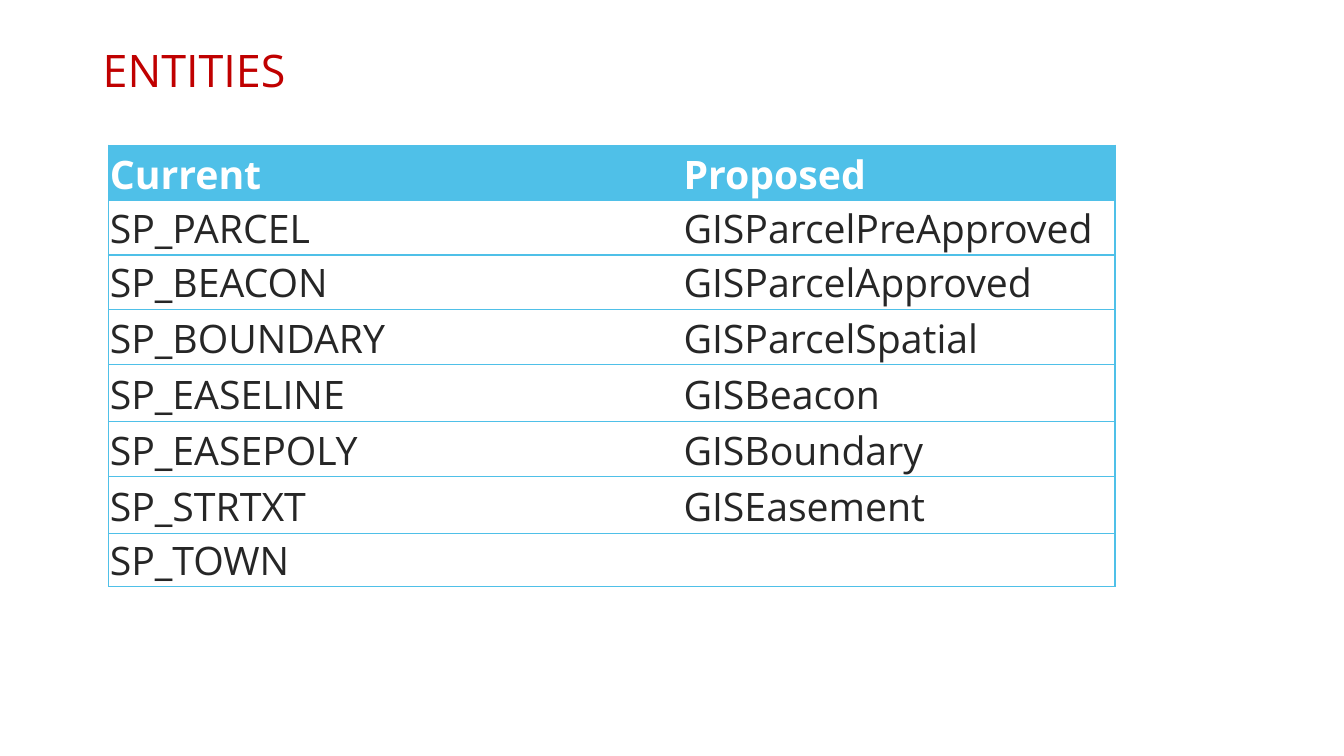
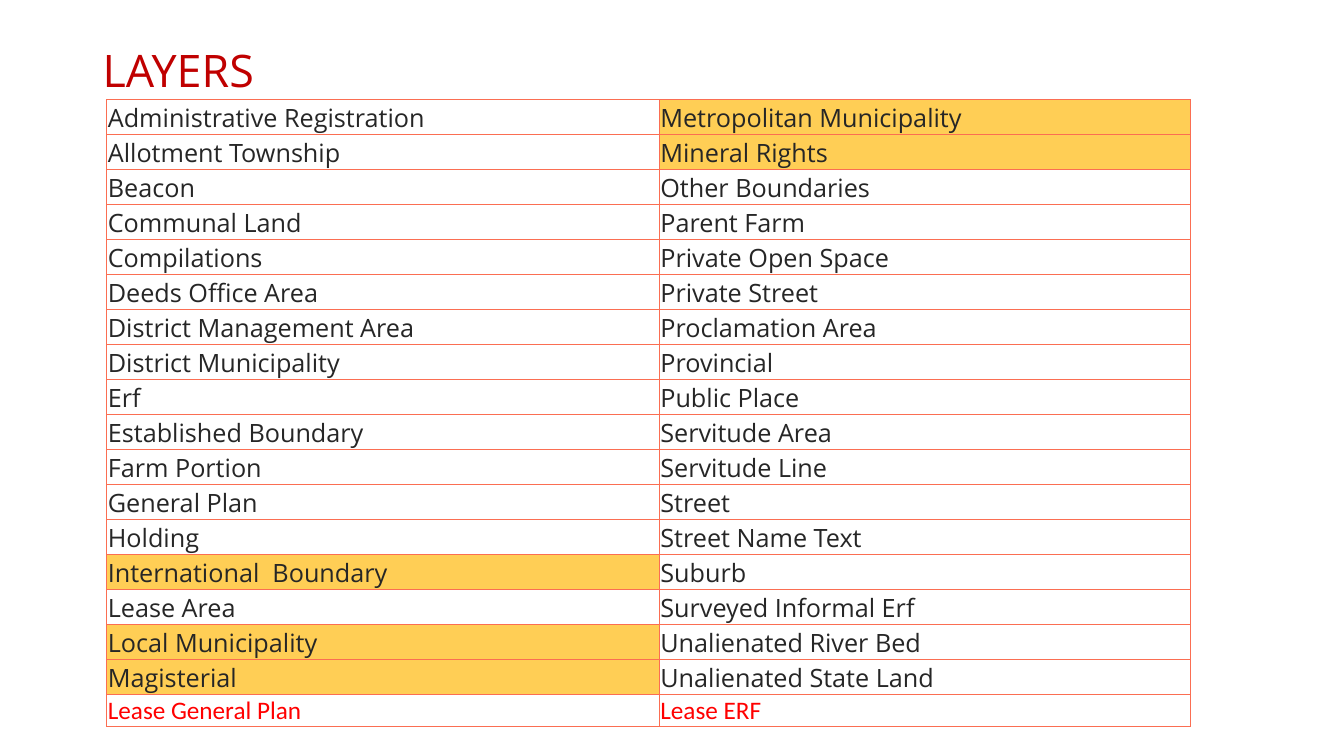
from lxml.etree import SubElement
from pptx import Presentation
from pptx.dml.color import RGBColor
from pptx.enum.text import MSO_VERTICAL_ANCHOR as Anchor
from pptx.oxml.ns import qn
from pptx.util import Inches, Pt

COLORS = {
    "title": "C00000",
    "text": "262626",
    "white": "FFFFFF",
    "blue": "4FC0E8",
    "coral": "FB6E52",
    "yellow": "FFCE55",
    "red": "FF0000",
}

ENTITIES = [
    ("Current", "Proposed"),
    ("SP_PARCEL", "GISParcelPreApproved"),
    ("SP_BEACON", "GISParcelApproved"),
    ("SP_BOUNDARY", "GISParcelSpatial"),
    ("SP_EASELINE", "GISBeacon"),
    ("SP_EASEPOLY", "GISBoundary"),
    ("SP_STRTXT", "GISEasement"),
    ("SP_TOWN", ""),
]

LAYERS = [
    ("Administrative Registration", "Metropolitan Municipality"),
    ("Allotment Township", "Mineral Rights"),
    ("Beacon", "Other Boundaries"),
    ("Communal Land", "Parent Farm"),
    ("Compilations", "Private Open Space"),
    ("Deeds Office Area", "Private Street"),
    ("District Management Area", "Proclamation Area"),
    ("District Municipality", "Provincial"),
    ("Erf", "Public Place"),
    ("Established Boundary", "Servitude Area"),
    ("Farm Portion", "Servitude Line"),
    ("General Plan", "Street"),
    ("Holding", "Street Name Text"),
    ("International  Boundary", "Suburb"),
    ("Lease Area", "Surveyed Informal Erf"),
    ("Local Municipality", "Unalienated River Bed"),
    ("Magisterial", "Unalienated State Land"),
    ("Lease General Plan", "Lease ERF"),
]

HIGHLIGHTED = {
    "Metropolitan Municipality",
    "Mineral Rights",
    "International  Boundary",
    "Local Municipality",
    "Magisterial",
}


class DeckBuilder:
    font = "Open Sans"

    def __init__(self):
        self.deck = Presentation()
        self.deck.slide_width = Inches(13.33)
        self.deck.slide_height = Inches(7.5)
        self.page = None

    def add_page(self, title):
        self.page = self.deck.slides.add_slide(self.deck.slide_layouts[6])
        box = self.page.shapes.add_textbox(
            Inches(0.92), Inches(0.3), Inches(11.5), Inches(0.85))
        frame = box.text_frame
        frame.word_wrap = True
        frame.vertical_anchor = Anchor.MIDDLE
        frame.text = title
        frame.paragraphs[0].line_spacing = 0.9
        self.format_text(frame, 32, "title")

    def format_text(self, frame, size, color, bold=False, font=None):
        for para in frame.paragraphs:
            for span in para.runs:
                span.font.name = font or self.font
                span.font.size = Pt(size)
                span.font.bold = bold
                span.font.color.rgb = RGBColor.from_string(COLORS[color])

    def add_table(self, left, top, widths, heights, rows):
        table = self.page.shapes.add_table(
            len(rows), len(widths), Inches(left), Inches(top),
            Inches(sum(widths)), Inches(sum(heights))).table
        table.first_row = table.horz_banding = False
        for column, width in zip(table.columns, widths):
            column.width = Inches(width)
        for row, height in zip(table.rows, heights):
            row.height = Inches(height)
        for row, texts in zip(table.rows, rows):
            for cell, text in zip(row.cells, texts):
                cell.text = text
                cell.vertical_anchor = Anchor.BOTTOM
                cell.margin_left = cell.margin_right = cell.margin_top = Inches(0.01)
                cell.margin_bottom = 0
        return table

    def set_borders(self, cell, color, sides):
        properties = cell._tc.get_or_add_tcPr()
        for side in "LRTB":
            line = SubElement(properties, qn(f"a:ln{side}"), w=str(Pt(1)))
            if side in sides:
                fill = SubElement(line, qn("a:solidFill"))
                SubElement(fill, qn("a:srgbClr"), val=COLORS[color])
            else:
                SubElement(line, qn("a:noFill"))

    def set_fill(self, cell, color):
        if color is None:
            cell.fill.background()
        else:
            cell.fill.solid()
            cell.fill.fore_color.rgb = RGBColor.from_string(COLORS[color])


def build_entities(builder):
    builder.add_page("ENTITIES")
    heights = [0.55, 0.54, 0.54] + [0.55, 0.56] * 2 + [0.53]
    table = builder.add_table(1.08, 1.44, [5.69, 4.29], heights, ENTITIES)
    for index, row in enumerate(table.rows):
        header = index == 0
        for cell, sides in zip(row.cells, ("LTB", "RTB")):
            builder.set_borders(cell, "blue", sides)
            builder.set_fill(cell, "blue" if header else "white")
            builder.format_text(
                cell.text_frame, 28, "white" if header else "text", header)


def build_layers(builder):
    builder.add_page("LAYERS")
    heights = [25 / 72] * (len(LAYERS) - 1) + [0.32]
    table = builder.add_table(1.06, 0.99, [5.48, 5.27], heights, LAYERS)
    for index, row in enumerate(table.rows):
        last = index == len(LAYERS) - 1
        for cell in row.cells:
            builder.set_borders(cell, "coral", "LRTB")
            builder.set_fill(cell, "yellow" if cell.text in HIGHLIGHTED else None)
            builder.format_text(
                cell.text_frame, 18, "red" if last else "text",
                font="Calibri" if last else None)


def main():
    builder = DeckBuilder()
    build_entities(builder)
    build_layers(builder)
    builder.deck.save("out.pptx")


if __name__ == "__main__":
    main()
